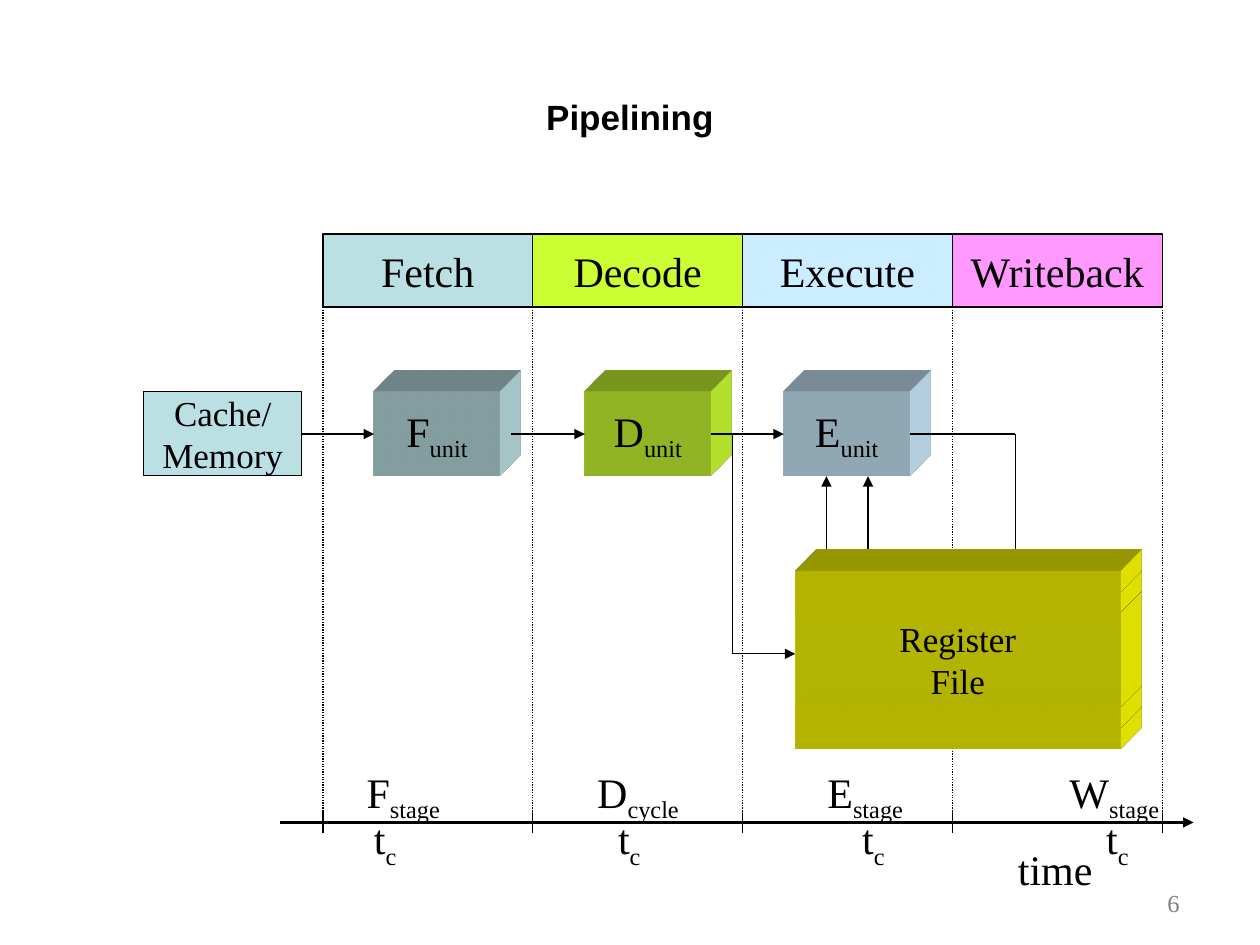
from dataclasses import dataclass
from itertools import accumulate
from lxml.etree import SubElement as Sub
from pptx import Presentation
from pptx.dml.color import RGBColor as Rgb
from pptx.enum.dml import MSO_LINE as Dash
from pptx.enum.shapes import MSO_CONNECTOR as Wire, MSO_SHAPE as Form
from pptx.enum.text import MSO_ANCHOR as Anchor, MSO_AUTO_SIZE as Auto, PP_ALIGN as Align
from pptx.oxml.ns import qn
from pptx.util import Cm, Pt


@dataclass(frozen=True)
class Theme:
    ink: str = "000000"
    gray: str = "808080"
    aqua: str = "BBE0E3"
    lime: str = "CCFF33"
    sky: str = "CCECFF"
    pink: str = "FF99FF"
    gold: str = "FFFF00"
    serif: str = "Times New Roman"
    sans: str = "Arial"
    big: int = 24
    mid: int = 20
    small: int = 14
    thin: float = 0.75
    thick: float = 1.5


@dataclass(frozen=True)
class Box:
    x: float
    y: float
    w: float
    h: float
    fill: str = ""
    text: str = ""
    sub: str = ""
    size: int = 24
    deep: bool = False


@dataclass(frozen=True)
class Line:
    x1: float
    y1: float
    x2: float
    y2: float
    head: bool = False
    dots: bool = False
    width: float = 0.75


T = Theme()
LEFT, STEP = 6.51, 4.23
TOP, BASE, AXIS = 6.19, 16.35, 16.58
ROW, MID, FOOT = 7.9, 8.75, 9.6
REG, BUS, SLAB = 11.5, 13.18, 0.42


def apply(item, form: dict) -> None:
    for key, value in form.items():
        setattr(item, key, value)


def write(frame, text: str, sub: str = "", align=Align.CENTER, **form) -> None:
    look = {"name": T.serif, "size": Pt(T.big), "tint": T.ink, **form}
    tint = Rgb.from_string(look.pop("tint"))
    for i, row in enumerate(text.split("\n")):
        par = frame.paragraphs[0] if i == 0 else frame.add_paragraph()
        par.alignment = align
        par.text = row
        if sub:
            run = par.add_run()
            run.text = sub
            run.font._element.set("baseline", "-25000")
        for run in par.runs:
            apply(run.font, look)
            run.font.color.rgb = tint


def extrude(shape, fill: str) -> None:
    prop = shape._element.spPr
    scene = Sub(prop, qn("a:scene3d"))
    Sub(scene, qn("a:camera"), prst="legacyObliqueTopRight")
    Sub(scene, qn("a:lightRig"), rig="legacyFlat3", dir="b")
    solid = Sub(prop, qn("a:sp3d"), extrusionH="430200", prstMaterial="legacyMatte")
    tint = Sub(solid, qn("a:extrusionClr"))
    Sub(tint, qn("a:srgbClr"), val=fill)


def block(slide, box: Box) -> None:
    shape = slide.shapes.add_shape(Form.RECTANGLE, *map(Cm, (box.x, box.y, box.w, box.h)))
    shape.fill.solid()
    shape.fill.fore_color.rgb = Rgb.from_string(box.fill)
    if box.deep:
        shape.line.fill.background()
    else:
        shape.line.color.rgb = Rgb.from_string(T.ink)
        shape.line.width = Pt(T.thin)
    shape.shadow.inherit = False
    if box.deep:
        extrude(shape, box.fill)
    if box.text:
        apply(shape.text_frame, {"word_wrap": False, "vertical_anchor": Anchor.MIDDLE})
        write(shape.text_frame, box.text, box.sub, size=Pt(box.size))


def label(slide, box: Box, frame: dict, **form):
    area = slide.shapes.add_textbox(*map(Cm, (box.x, box.y, box.w, box.h)))
    apply(area.text_frame, frame)
    write(area.text_frame, box.text, box.sub, **form)
    return area.text_frame


def link(slide, line: Line) -> None:
    wire = slide.shapes.add_connector(
        Wire.STRAIGHT, *map(Cm, (line.x1, line.y1, line.x2, line.y2)))
    wire.line.color.rgb = Rgb.from_string(T.ink)
    wire.line.width = Pt(line.width)
    if line.dots:
        wire.line.dash_style = Dash.ROUND_DOT
    if line.head:
        Sub(wire.line._get_or_add_ln(), qn("a:tailEnd"), type="triangle")
    Sub(wire._element.spPr, qn("a:effectLst"))


def build() -> None:
    deck = Presentation()
    apply(deck, {"slide_width": Cm(25.4), "slide_height": Cm(19.05)})
    slide = deck.slides.add_slide(deck.slide_layouts[6])
    wrap = {"word_wrap": True}
    label(slide, Box(1.27, 0.76, 22.86, 3.18, text="Pipelining"),
          {**wrap, "vertical_anchor": Anchor.MIDDLE},
          name=T.sans, size=Pt(T.mid), bold=True)
    page = label(slide, Box(18.75, 17.78, 5.28, 1.27, text="6"), wrap,
                 align=Align.RIGHT, size=Pt(T.small), tint=T.gray)
    page.paragraphs[0].space_before = Pt(T.small / 2)

    stages = (("Fetch", T.aqua), ("Decode", T.lime), ("Execute", T.sky), ("Writeback", T.pink))
    for i, (name, fill) in enumerate(stages):
        block(slide, Box(LEFT + i * STEP, 4.72, STEP, TOP - 4.72, fill, name))
    block(slide, Box(2.9, ROW, 3.18, 1.69, T.aqua, "Cache/\vMemory", size=T.mid))
    units = (("F", 7.54, T.aqua), ("D", 11.79, T.lime), ("E", 15.8, T.sky))
    for name, x, fill in units:
        block(slide, Box(x, ROW, 2.54, 1.69, fill, name, "unit", deep=True))

    flow = [
        Line(14.76, BUS, 16.03, BUS, head=True),
        *(Line(a, MID, b, MID, head=True)
          for a, b in ((6.08, 7.54), (10.31, 11.79), (14.33, 15.8))),
        Line(14.76, MID, 14.76, BUS),
        *(Line(x, REG, x, FOOT, head=True) for x in (16.66, 17.5)),
        Line(20.47, MID, 20.47, REG, head=True),
        Line(18.34, MID, 20.47, MID),
    ]
    marks = [LEFT + i * STEP for i in range(5)]
    rules = [Line(x, TOP, x, BASE, dots=True) for x in marks]
    ticks = [Line(x, BASE, x, 16.79) for x in marks]
    axis = Line(5.64, AXIS, 24.06, AXIS, head=True, width=T.thick)
    for line in (*flow, *rules, axis, *ticks):
        link(slide, line)

    tight = {"word_wrap": False, "auto_size": Auto.SHAPE_TO_FIT_TEXT}
    times = [Box(7.29 + i * 4.92, 16.26, 0.99, 1.27, text="t", sub="c") for i in range(4)]
    terms = [Box(x, 15.32, w, 1.27, text=name, sub=sub) for name, sub, x, w in (
        ("F", "stage", 7.14, 2.16), ("D", "cycle", 11.79, 2.31),
        ("E", "stage", 16.43, 2.18), ("W", "stage", 21.31, 2.46))]
    clock = Box(20.27, 16.87, 2.03, 1.27, text="time")
    for box in (*times, *terms, clock):
        label(slide, box, tight, align=Align.LEFT)

    sizes = (SLAB, SLAB, 1.91, SLAB, SLAB)
    tops = accumulate(sizes[:-1], initial=REG + SLAB / 2 - 0.21)
    for y, h in reversed(list(zip(tops, sizes))):
        text = "Register\nFile" if h > SLAB else ""
        block(slide, Box(16.03, y, 6.56, h, T.gold, text, size=T.mid, deep=True))
    deck.save("out.pptx")


if __name__ == "__main__":
    build()
